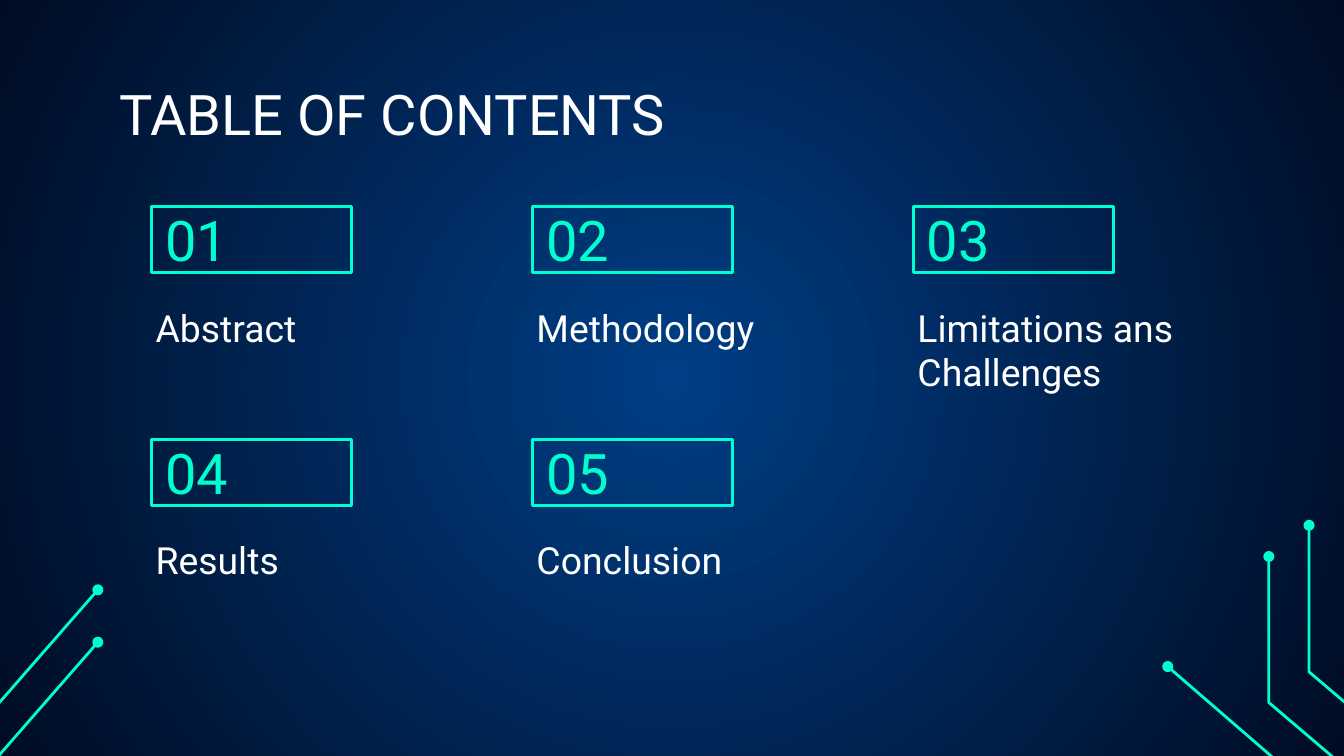
from lxml import etree
from pptx import Presentation
from pptx import util as u
from pptx.dml import color
from pptx.enum import shapes, text
from pptx.oxml import ns

MINT = "00FFCE"
WHITE = "FFFFFF"
ENTRIES = ["Abstract", "Methodology", "Limitations ans Challenges", "Results", "Conclusion"]
COLUMNS = 3
COLUMN_STEP = 7.2
ROW_STEP = 4.4
CIRCUITS = [
    [(25.53, 14.6), (23.98, 13.28), (23.98, 10.52)],
    [(24.38, 14.6), (22.07, 12.6)],
    [(26.29, 14.02), (24.74, 12.7), (24.74, 9.93)],
    [(-0.15, 14.43), (1.85, 12.14)],
    [(-0.15, 13.44), (1.85, 11.15)],
]


def rgb(code):
    """Turn a hex string into a colour."""
    return color.RGBColor.from_string(code)


def paint_background(page, center, edge):
    """Fill the page with a circular gradient."""
    fill = page.background.fill
    fill.gradient()
    for stop, code in zip(fill.gradient_stops, (center, edge)):
        stop.color.rgb = rgb(code)
    linear = page._element.find(".//" + ns.qn("a:lin"))
    circle = etree.Element(ns.qn("a:path"), path="circle")
    etree.SubElement(circle, ns.qn("a:fillToRect"), l="50000", t="50000", r="50000", b="50000")
    linear.getparent().replace(linear, circle)


def outline(shape):
    """Give a shape a mint outline with round joins and no fill."""
    shape.shadow.inherit = False
    shape.fill.background()
    shape.line.color.rgb = rgb(MINT)
    shape.line.width = u.Pt(1.5)
    etree.SubElement(shape.line._get_or_add_ln(), ns.qn("a:round"))


def add_circuit(page, points):
    """Draw an open line that ends in a dot."""
    start, *rest = [(u.Cm(x), u.Cm(y)) for x, y in points]
    builder = page.shapes.build_freeform(*start)
    builder.add_line_segments(rest, close=False)
    circuit = builder.convert_to_shape()
    outline(circuit)
    etree.SubElement(circuit.line._get_or_add_ln(), ns.qn("a:tailEnd"), type="oval")


def write(shape, words, size, code, anchor=text.MSO_ANCHOR.TOP):
    """Set left-aligned text in a shape."""
    frame = shape.text_frame
    frame.word_wrap = True
    frame.vertical_anchor = anchor
    frame.margin_left = frame.margin_right = u.Cm(0.25)
    frame.margin_top = frame.margin_bottom = u.Cm(0.25)
    para = frame.paragraphs[0]
    para.text = words
    para.alignment = text.PP_ALIGN.LEFT
    para.font.name = "Roboto"
    para.font.size = u.Pt(size)
    para.font.color.rgb = rgb(code)


def add_text(page, words, left, top, width, height, size):
    """Add a white text box."""
    box = page.shapes.add_textbox(u.Cm(left), u.Cm(top), u.Cm(width), u.Cm(height))
    write(box, words, size, WHITE)


def add_number(page, number, left, top):
    """Add an outlined box with a two-digit number."""
    box = page.shapes.add_shape(
        shapes.MSO_SHAPE.RECTANGLE, u.Cm(left), u.Cm(top), u.Cm(3.78), u.Cm(1.24))
    outline(box)
    write(box, f"{number:02d}", 30, MINT, text.MSO_ANCHOR.MIDDLE)


def main():
    """Build the table of contents slide."""
    deck = Presentation()
    deck.slide_width, deck.slide_height = u.Cm(25.4), u.Cm(14.29)
    page = deck.slides.add_slide(deck.slide_layouts[6])
    paint_background(page, "003E85", "000C24")
    for points in CIRCUITS:
        add_circuit(page, points)
    add_text(page, "TABLE OF CONTENTS", 2, 1.25, 21.4, 1.6, 30)
    for index, entry in enumerate(ENTRIES):
        row, column = divmod(index, COLUMNS)
        left, top = 2.87 + column * COLUMN_STEP, 3.91 + row * ROW_STEP
        add_number(page, index + 1, left, top)
        add_text(page, entry, left - 0.18, top + 1.6, 5.61, 2.31, 20)
    deck.save("out.pptx")


if __name__ == "__main__":
    main()
